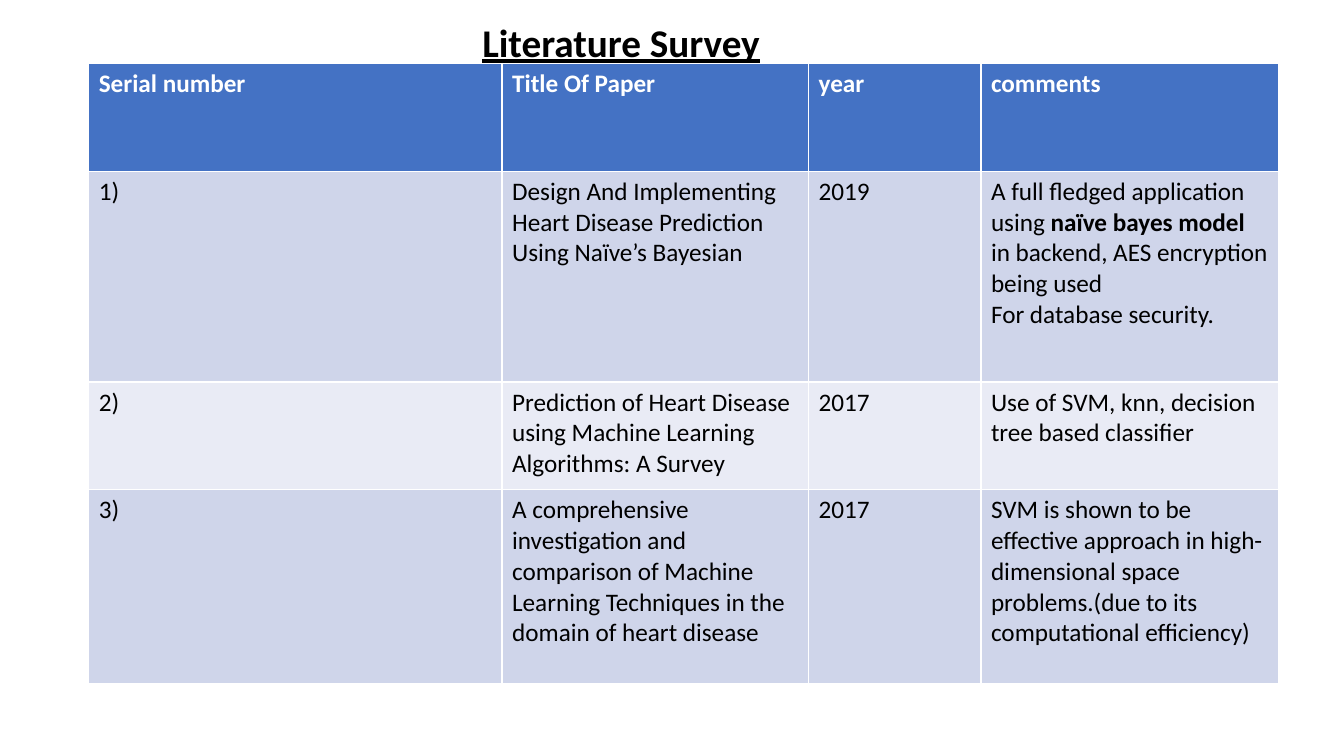
from pptx import Presentation
from pptx.dml.color import RGBColor as RGB
from pptx.enum.text import MSO_ANCHOR as Anchor, MSO_AUTO_SIZE as Fit, PP_ALIGN as Align
from pptx.util import Inches, Pt

BLACK = RGB(0x00, 0x00, 0x00)
WHITE = RGB(0xFF, 0xFF, 0xFF)
BLUE = RGB(0x44, 0x72, 0xC4)
BANDS = [RGB(0xE9, 0xEB, 0xF5), RGB(0xCF, 0xD5, 0xEA)]
FONT = "Calibri"

WIDTHS = [4.1, 3.04, 1.71, 2.95]
HEIGHTS = [1.07, 2.09, 1.07, 1.92]
HEADS = ["Serial number", "Title Of Paper", "year", "comments"]
PAPERS = [
    ("Design And Implementing Heart Disease Prediction Using Naïve’s Bayesian", "2019",
     [[("A full fledged application using ", False),
       ("naïve bayes model", True),
       (" in backend, AES encryption being used", False)],
      [("For database security.", False)]]),
    ("Prediction of Heart Disease using Machine Learning Algorithms: A Survey", "2017",
     [[("Use of SVM, knn, decision tree based classifier", False)]]),
    ("A comprehensive investigation and comparison of Machine Learning Techniques "
     "in the domain of heart disease", "2017",
     [[("SVM is shown to be effective approach in high-dimensional space "
        "problems.(due to its computational efficiency)", False)]]),
]


def add_run(para, text, size, color, bold):
    run = para.add_run()
    run.text = text
    font = run.font
    font.name, font.size, font.bold = FONT, Pt(size), bold
    font.color.rgb = color
    return run


def add_title(slide, text):
    title = slide.shapes.title
    title.left, title.top = Inches(0.65), Inches(0.18)
    title.width, title.height = Inches(11.02), Inches(6.7)
    frame = title.text_frame
    frame.word_wrap = True
    frame.auto_size = Fit.NONE
    frame.vertical_anchor = Anchor.TOP
    para = frame.paragraphs[0]
    para.alignment = Align.CENTER
    para.line_spacing = 0.9
    para.space_before = Pt(10)
    add_run(para, text, 28, BLACK, True).font.underline = True


def fill_cell(cell, paras, fill, color):
    cell.fill.solid()
    cell.fill.fore_color.rgb = fill
    frame = cell.text_frame
    for i, runs in enumerate(paras):
        para = frame.add_paragraph() if i else frame.paragraphs[0]
        for text, bold in runs:
            add_run(para, text, 18, color, bold)


def add_survey(slide):
    table = slide.shapes.add_table(
        len(HEIGHTS), len(WIDTHS), Inches(0.88), Inches(0.63),
        Inches(sum(WIDTHS)), Inches(sum(HEIGHTS))).table
    for col, width in zip(table.columns, WIDTHS):
        col.width = Inches(width)
    for row, height in zip(table.rows, HEIGHTS):
        row.height = Inches(height)
    for c, head in enumerate(HEADS):
        fill_cell(table.cell(0, c), [[(head, True)]], BLUE, WHITE)
    for r, (name, year, notes) in enumerate(PAPERS, 1):
        plain = [[[(text, False)]] for text in (f"{r})", name, year)]
        for c, paras in enumerate(plain + [notes]):
            fill_cell(table.cell(r, c), paras, BANDS[r % 2], BLACK)


def main():
    deck = Presentation()
    deck.slide_width, deck.slide_height = Inches(13.33), Inches(7.5)
    slide = deck.slides.add_slide(deck.slide_layouts[5])
    add_title(slide, "Literature Survey")
    add_survey(slide)
    deck.save("out.pptx")


if __name__ == "__main__":
    main()
